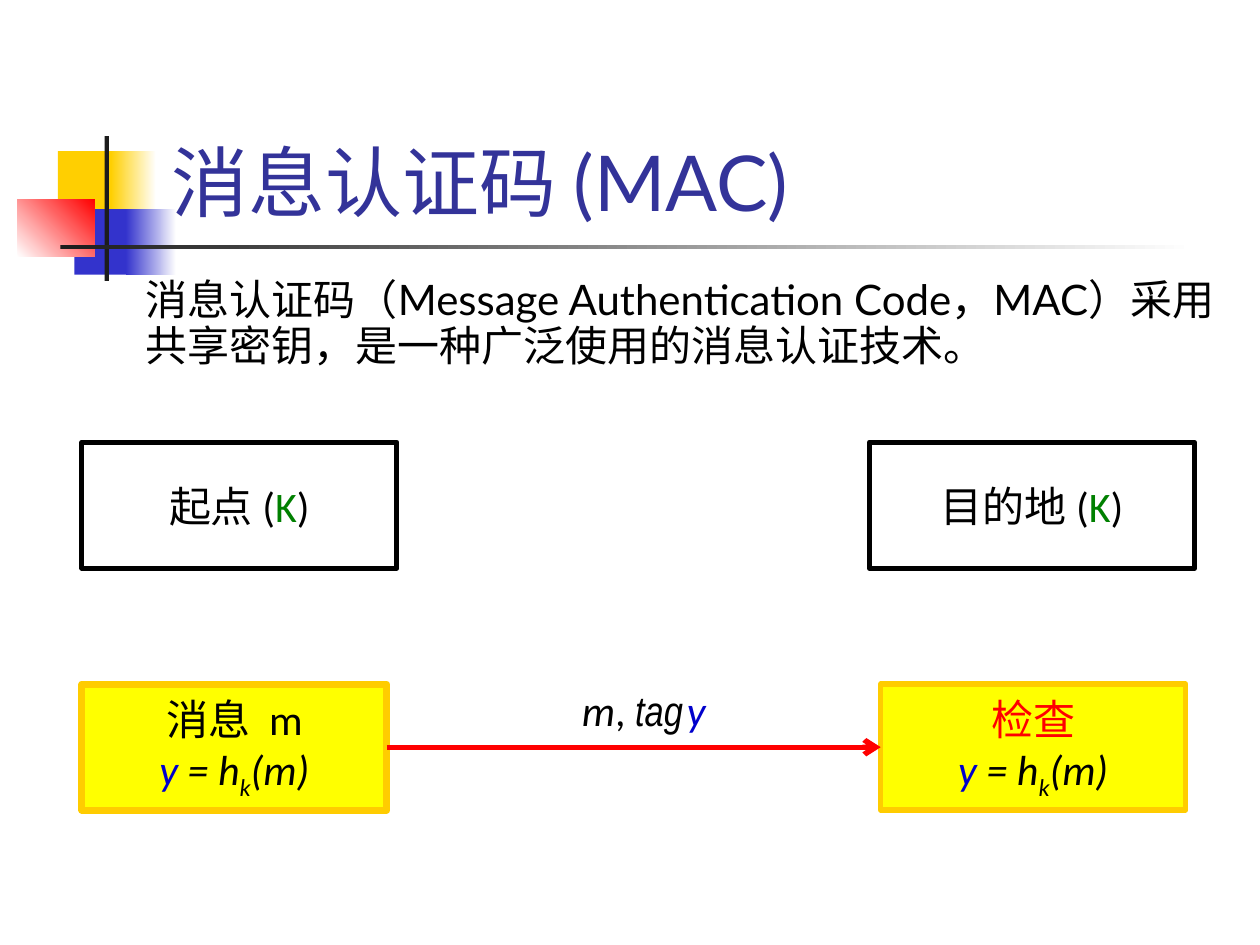
"""Builds a slide on message authentication codes (MAC)."""
from lxml.etree import SubElement
from pptx import Presentation
from pptx.dml.color import RGBColor
from pptx.enum.shapes import MSO_CONNECTOR, MSO_SHAPE
from pptx.enum.text import MSO_ANCHOR, PP_ALIGN
from pptx.oxml.ns import qn
from pptx.util import Inches, Pt

COLORS = {
    "white": "FFFFFF", "black": "000000", "ink": "1C1C1C", "gold": "FFCF01",
    "indigo": "3333CC", "red": "FF0000", "title": "333399", "green": "008000",
    "blue": "0000CC", "yellow": "FFFF00", "amber": "FFCC00",
}
RGB = {name: RGBColor.from_string(value) for name, value in COLORS.items()}

prs = Presentation()
prs.slide_width, prs.slide_height = Inches(10), Inches(7.5)
COL, ROW = prs.slide_width / 100, prs.slide_height / 75
s = prs.slides.add_slide(prs.slide_layouts[6])


def add_rect(x, y, w, h, fill, end=None, angle=0):
    sp = s.shapes.add_shape(MSO_SHAPE.RECTANGLE, int(x * COL), int(y * ROW),
                            int(w * COL), int(h * ROW))
    sp.shadow.inherit = False
    sp.line.fill.background()
    if end:
        sp.fill.gradient()
        sp.fill.gradient_angle = angle
        for stop, name, pos in zip(sp.fill.gradient_stops, (fill, end), (0, 1)):
            stop.color.rgb, stop.position = RGB[name], pos
    else:
        sp.fill.solid()
        sp.fill.fore_color.rgb = RGB[fill]
    return sp


def write(tf, paragraphs, font, size, color="black", align=PP_ALIGN.CENTER):
    for i, runs in enumerate(paragraphs):
        p = tf.add_paragraph() if i else tf.paragraphs[0]
        p.alignment = align
        p.font.name, p.font.size, p.font.color.rgb = font, Pt(size), RGB[color]
        for text, style in runs:
            r = p.add_run()
            r.text = text
            r.font.italic = style.get("italic")
            if "color" in style:
                r.font.color.rgb = RGB[style["color"]]
            if "font" in style:
                r.font.name = style["font"]
            if "size" in style:
                r.font.size = Pt(style["size"])
            if "baseline" in style:
                r._r.get_or_add_rPr().set("baseline", style["baseline"])


for x, y, w, h, *fill in [
    (4.6, 12, 4.8, 5.2, "gold"),
    (8.8, 12, 3.6, 5.2, "gold", "white"),
    (5.9, 16.6, 4.6, 5.2, "indigo"),
    (10, 16.6, 4, 5.2, "indigo", "white"),
    (1.4, 15.8, 6.1, 4.6, "white", "red", 45),
    (8.3, 10.8, 0.35, 11.5, "ink"),
    (4.8, 19.45, 90, 0.35, "ink", "white"),
]:
    add_rect(x, y, w, h, *fill)

for x, y, w, h, text, size, color, anchor, spacing in [
    (12.6, 6, 85.2, 12.5, "消息认证码 (MAC)", 44, "title", MSO_ANCHOR.BOTTOM, 1),
    (10.6, 21.7, 87, 14.3,
     "消息认证码（Message Authentication Code，MAC）采用共享密钥，是一种广泛使用的消息认证技术。",
     24, "black", MSO_ANCHOR.TOP, 0.9),
]:
    tf = s.shapes.add_textbox(int(x * COL), int(y * ROW),
                              int(w * COL), int(h * ROW)).text_frame
    tf.word_wrap, tf.vertical_anchor = True, anchor
    write(tf, [[(text, {})]], "Lato", size, color, PP_ALIGN.LEFT)
    tf.paragraphs[0].line_spacing = spacing

it = {"italic": True}
key = [("K", {"color": "green"}), (")", {})]
tag = [("y ", {"color": "blue", **it}), ("= h", it),
       ("k", {"baseline": "-25000", **it}), ("(m)", it)]
boxes = []
for x, y, w, fill, line, width, paragraphs in [
    (6.5, 35.1, 25, "white", "black", 3, [[("起点 (", {}), *key]]),
    (69, 35.1, 25.8, "white", "black", 3, [[("目的地 (", {}), *key]]),
    (6.5, 54.3, 24.2, "yellow", "amber", 4, [[("消息  m", {})], tag]),
    (69.9, 54.3, 24.2, "yellow", "amber", 3, [[("检查", {"color": "red"})], tag]),
]:
    sp = add_rect(x, y, w, 10, fill)
    sp.line.color.rgb, sp.line.width = RGB[line], Pt(width)
    sp.text_frame.word_wrap = False
    sp.text_frame.vertical_anchor = MSO_ANCHOR.MIDDLE
    write(sp.text_frame, paragraphs, "Calibri", 24)
    boxes.append(sp)

message, check = boxes[2:]
arrow = s.shapes.add_connector(MSO_CONNECTOR.STRAIGHT, 0, 0, 0, 0)
arrow.begin_connect(message, 3)
arrow.end_connect(check, 1)
arrow.line.color.rgb, arrow.line.width = RGB["red"], Pt(3)
SubElement(arrow.line._get_or_add_ln(), qn("a:tailEnd"), type="arrow")
SubElement(arrow._element.spPr, qn("a:effectLst"))

label = add_rect(48.2, 55.1, 5.8, 2.5, "white")
label.text_frame.word_wrap = False
label.text_frame.vertical_anchor = MSO_ANCHOR.MIDDLE
write(label.text_frame, [[
    ("m", it), (", ", {}), ("tag", {"font": "Arial Narrow", **it}),
    (" ", {"size": 10}), ("y", {"color": "blue", **it}),
]], "Calibri", 24)

prs.save("out.pptx")
